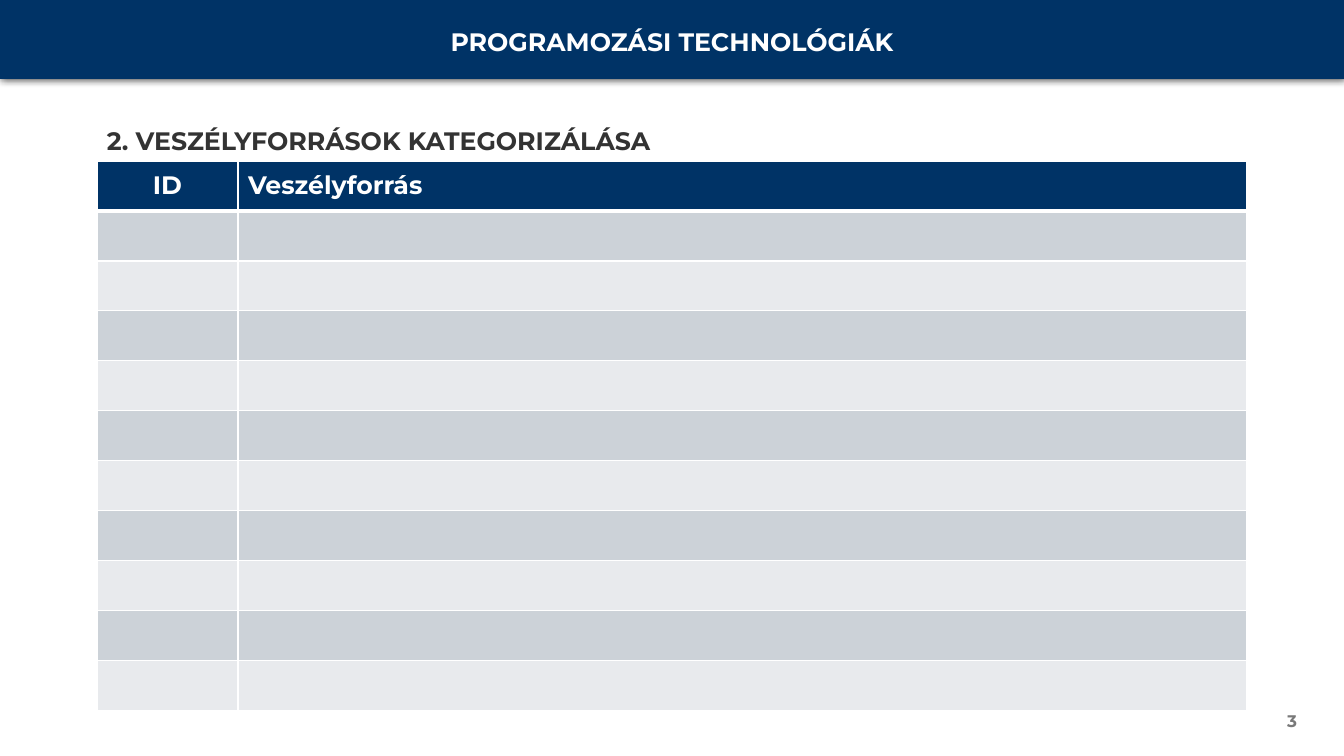
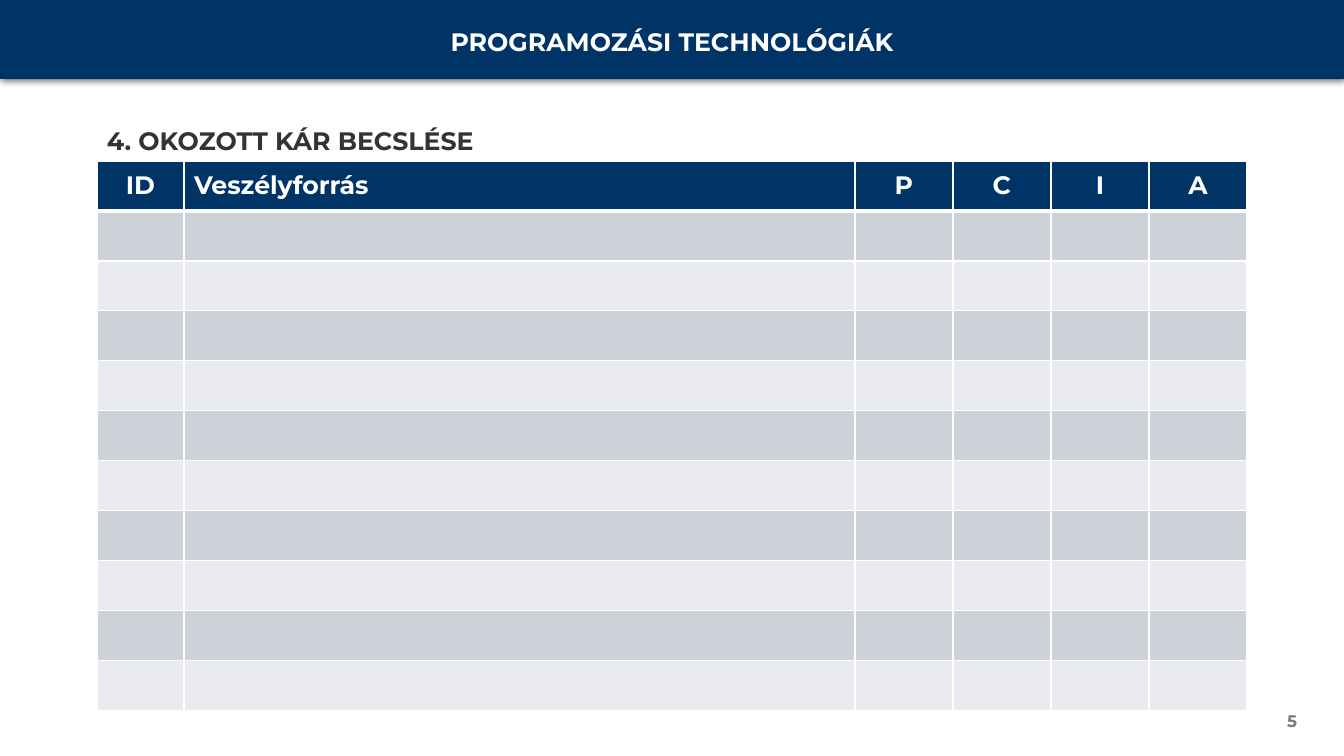
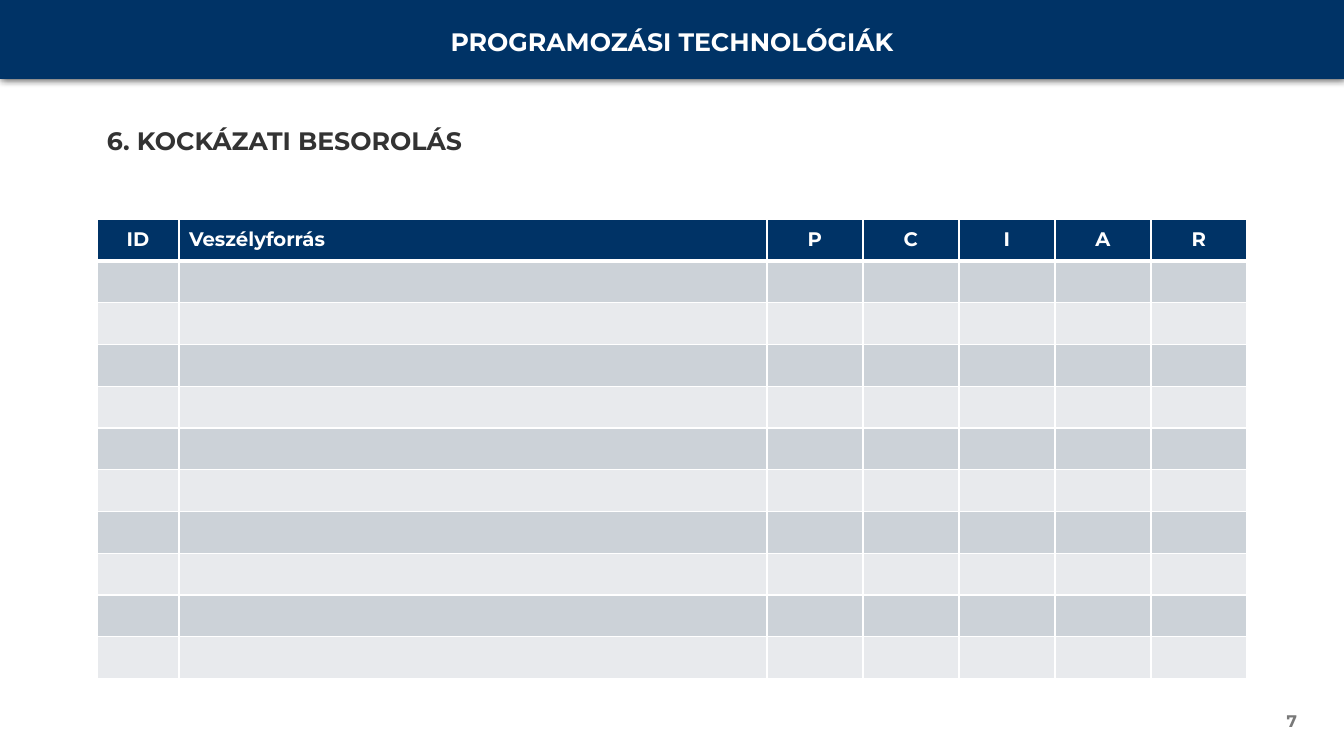
from pptx import Presentation
from pptx.dml.color import RGBColor
from pptx.enum.shapes import MSO_SHAPE as Shape
from pptx.enum.text import MSO_ANCHOR as Anchor, PP_ALIGN as Align
from pptx.oxml import parse_xml
from pptx.oxml.ns import nsdecls
from pptx.util import Emu, Pt

# Content: heading, page, table top and height, header size, header cells,
# width of the ID column and of each score column
TITLE = "PROGRAMOZÁSI TECHNOLÓGIÁK"
NAMES = ["ID", "Veszélyforrás"]
PAGES = [
    dict(head="2. VESZÉLYFORRÁSOK KATEGORIZÁLÁSA", page="3", top=161,
         high=550, size=18, cols=NAMES, first=141, score=0),
    dict(head="4. OKOZOTT KÁR BECSLÉSE", page="5", top=161,
         high=550, size=18, cols=NAMES + list("PCIA"), first=87, score=98),
    dict(head="6. KOCKÁZATI BESOROLÁS", page="7", top=219,
         high=460, size=14, cols=NAMES + list("PCIAR"), first=82, score=96),
]

# Shared style
FONT = "Montserrat"
NAVY, WHITE, DARK, GREY = "003366", "FFFFFF", "333333", "797979"
BANDS = ["CCD2D8", "E8EAED"]
WIDE, TALL = 1344, 756
LEFT, SPAN, ROWS = 97, 1150, 11


def px(n):
    return Emu(round(n * 12192000 / WIDE))


def rgb(code):
    return RGBColor.from_string(code)


def write(frame, text, size, color, align):
    para = frame.paragraphs[0]
    para.alignment = align
    run = para.add_run()
    run.text = text
    font = run.font
    font.name, font.size, font.bold = FONT, Pt(size), True
    font.color.rgb = rgb(color)


def label(slide, box, text, size, color, align, anchor=Anchor.TOP):
    frame = slide.shapes.add_textbox(*map(px, box)).text_frame
    frame.word_wrap = True
    frame.vertical_anchor = anchor
    write(frame, text, size, color, align)


def band(slide):
    bar = slide.shapes.add_shape(Shape.RECTANGLE, 0, 0, px(WIDE), px(79))
    bar.fill.solid()
    bar.fill.fore_color.rgb = rgb(NAVY)
    bar.line.fill.background()
    bar.shadow.inherit = False
    bar.element.spPr.find("{*}effectLst").append(parse_xml(
        f'<a:outerShdw {nsdecls("a")} blurRad="{Pt(6)}" dist="0" dir="5400000">'
        '<a:srgbClr val="000000"><a:alpha val="80000"/></a:srgbClr>'
        '</a:outerShdw>'))


def paint(cell, color, top, low):
    cell.fill.solid()
    cell.fill.fore_color.rgb = rgb(color)
    props = cell._tc.get_or_add_tcPr()
    for i, (side, width) in enumerate(zip("LRTB", (1, 1, top, low))):
        props.insert(i, parse_xml(
            f'<a:ln{side} {nsdecls("a")} w="{Pt(width)}"><a:solidFill>'
            f'<a:srgbClr val="{WHITE}"/></a:solidFill></a:ln{side}>'))


def grid(slide, data):
    cols, first, score = data["cols"], data["first"], data["score"]
    count = len(cols) - 2
    widths = [first, SPAN - first - count * score] + [score] * count
    table = slide.shapes.add_table(
        ROWS, len(cols), px(LEFT), px(data["top"]),
        px(SPAN), px(data["high"])).table
    table.horz_banding = False
    for col, width in zip(table.columns, widths):
        col.width = px(width)
    for r, row in enumerate(table.rows):
        row.height = px(data["high"] / ROWS)
        for c, cell in enumerate(row.cells):
            if r == 0:
                paint(cell, NAVY, 1, 3)
                cell.vertical_anchor = Anchor.MIDDLE
                align = Align.LEFT if c == 1 else Align.CENTER
                write(cell.text_frame, cols[c], data["size"], WHITE, align)
            else:
                paint(cell, BANDS[(r - 1) % 2], 3 if r == 1 else 1, 1)
                cell.margin_top = cell.margin_bottom = 0


def main():
    deck = Presentation()
    deck.slide_width, deck.slide_height = px(WIDE), px(TALL)
    for data in PAGES:
        slide = deck.slides.add_slide(deck.slide_layouts[6])
        band(slide)
        label(slide, (409, 21, 526, 40), TITLE, 18, WHITE, Align.CENTER)
        label(slide, (LEFT, 120, SPAN, 40), data["head"], 18, DARK, Align.LEFT)
        label(slide, (1005, 701, 302, 40), data["page"], 12, GREY,
              Align.RIGHT, Anchor.MIDDLE)
        grid(slide, data)
    deck.save("out.pptx")


if __name__ == "__main__":
    main()
